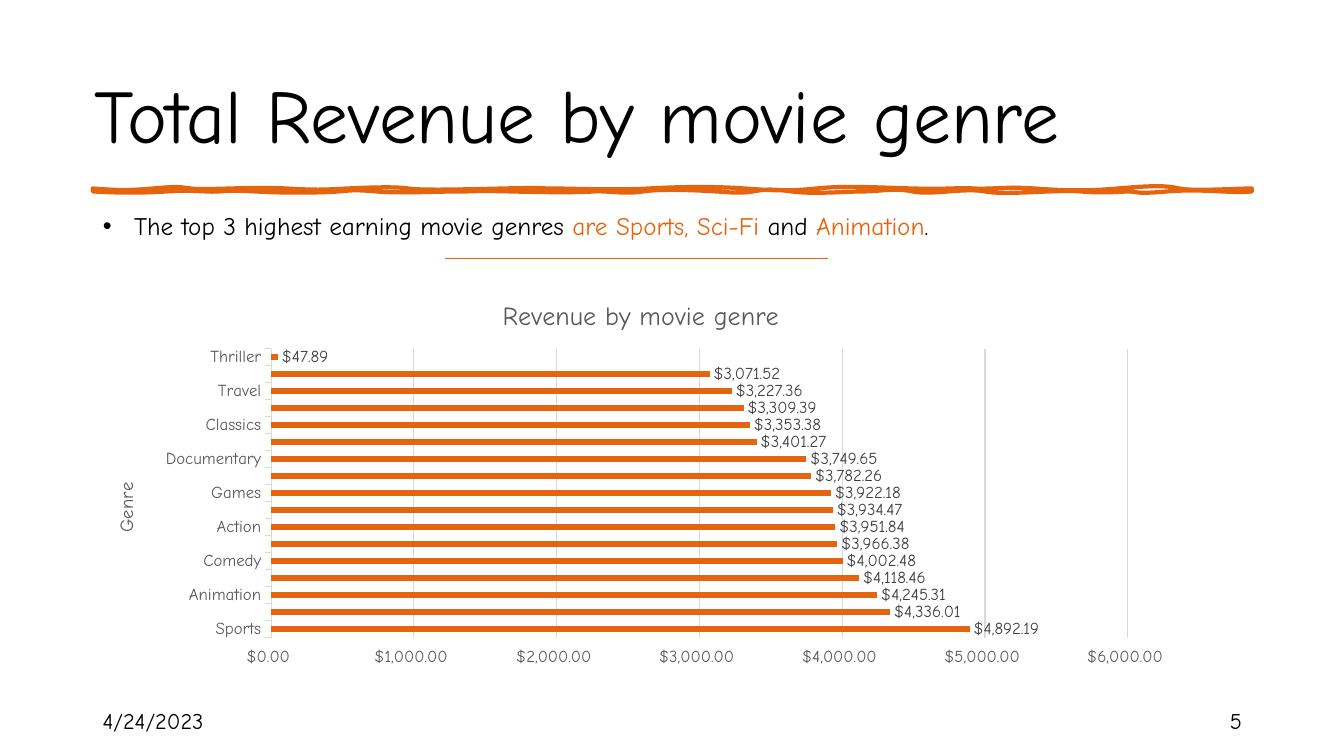
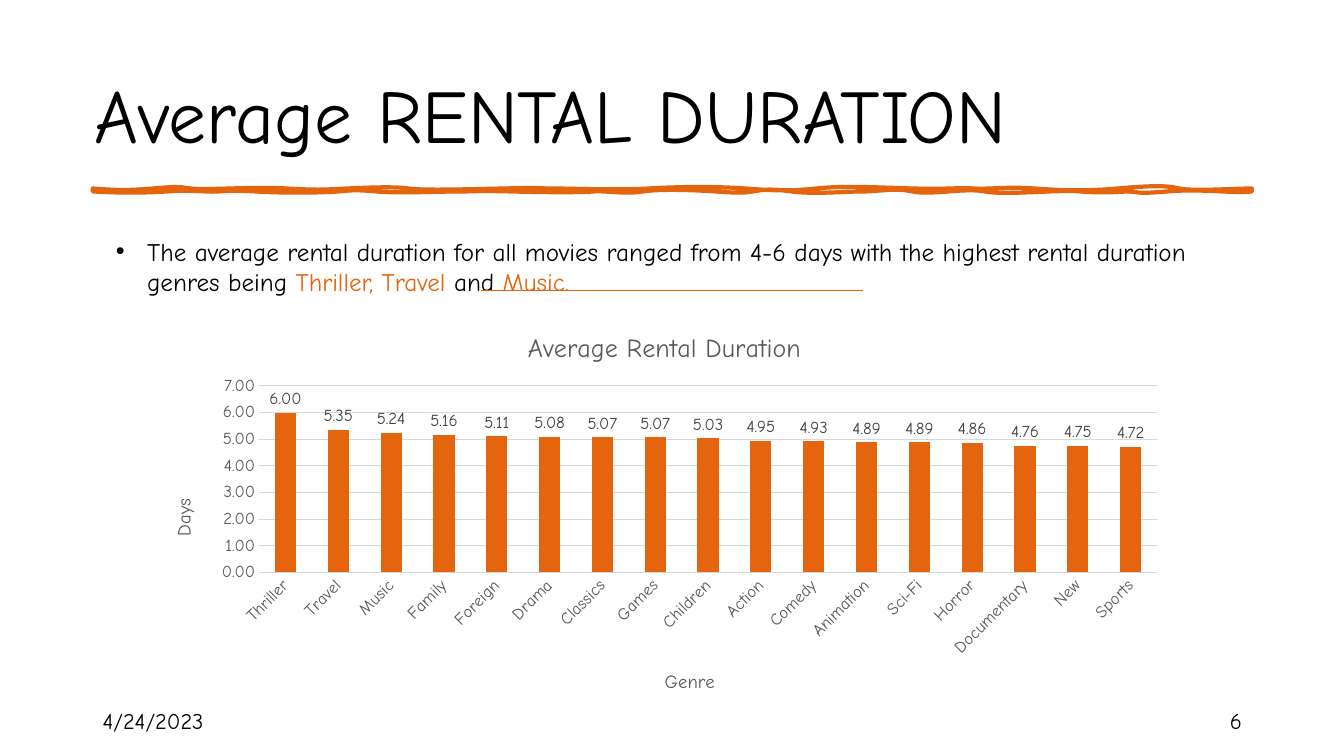
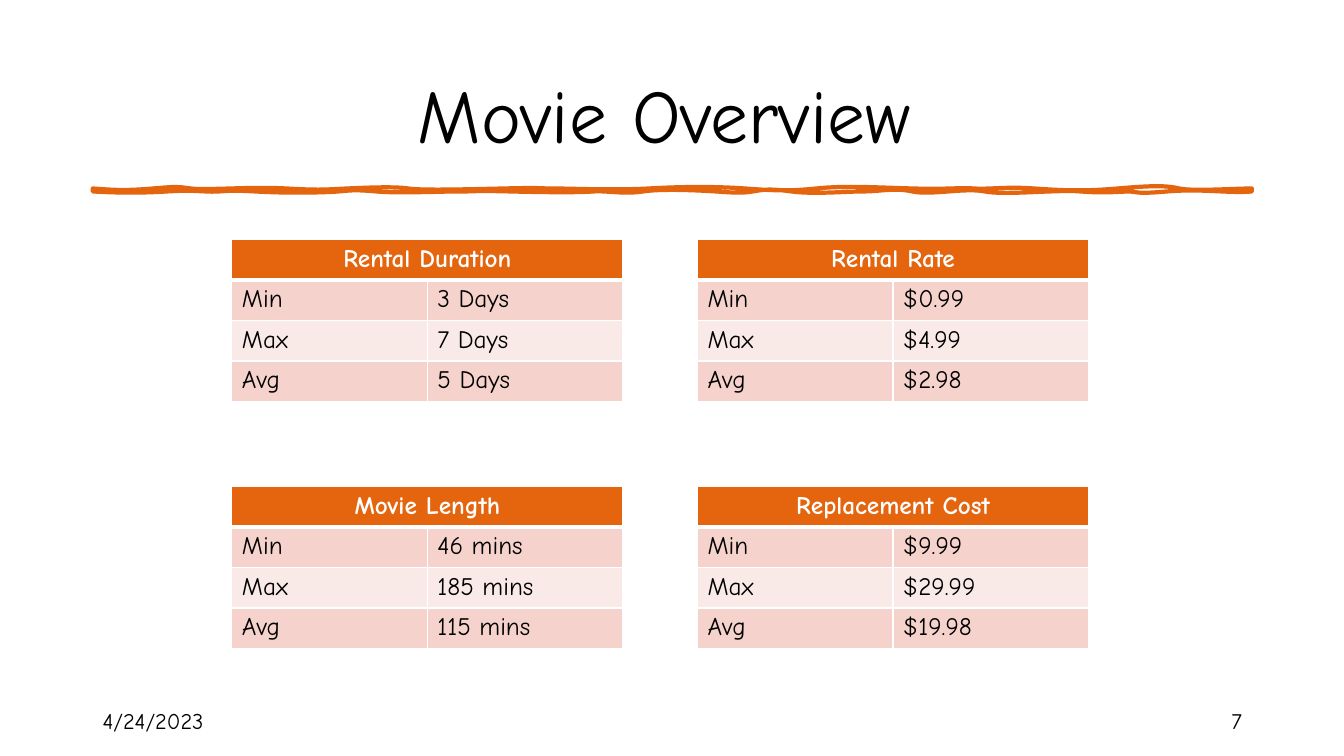
import dataclasses
import typing

import lxml.etree
import pptx
import pptx.chart.axis
import pptx.chart.chart
import pptx.chart.data
import pptx.dml.color
import pptx.enum.chart
import pptx.enum.shapes
import pptx.enum.text
import pptx.oxml.ns
import pptx.presentation
import pptx.slide
import pptx.table
import pptx.text.text
import pptx.util

Inches = pptx.util.Inches
Pt = pptx.util.Pt
qn = pptx.oxml.ns.qn
Align = pptx.enum.text.PP_ALIGN
Anchor = pptx.enum.text.MSO_ANCHOR
Tick = pptx.enum.chart.XL_TICK_MARK
ChartType = pptx.enum.chart.XL_CHART_TYPE

FONT = "Comic Neue"
COLORS = {
    "ink": "000000",
    "paper": "FFFFFF",
    "accent": "E4650E",
    "axis": "595959",
    "label": "404040",
    "grid": "D9D9D9",
    "band_dark": "F5D3CC",
    "band_light": "FAEAE7",
}
DATE = "4/24/2023"
FIRST_NUMBER = 5
DOLLARS = '"$"#,##0.00_);[Red]\\("$"#,##0.00\\)'

# Each curve: first control x, y, second control x, y, end x (inches).
BRUSH_TOP, BRUSH_BOTTOM = 1.87, 1.9
BRUSH_LEFT, BRUSH_RIGHT = 0.92, 12.42
UPPER_CURVES = [
    (1.17, 1.89, 1.28, 1.89, 1.52), (1.76, 1.85, 1.75, 1.85, 1.89),
    (2.04, 1.89, 2.49, 1.85, 2.84), (3.19, 1.89, 3.23, 1.88, 3.45),
    (3.67, 1.86, 3.92, 1.85, 4.05), (4.18, 1.89, 4.58, 1.88, 5),
    (5.42, 1.86, 5.3, 1.87, 5.49), (5.67, 1.87, 6.09, 1.89, 6.44),
    (6.78, 1.85, 7.11, 1.85, 7.39), (7.66, 1.89, 7.82, 1.9, 8.1),
    (8.39, 1.84, 8.69, 1.86, 9.05), (9.42, 1.88, 9.5, 1.86, 9.66),
    (9.82, 1.88, 9.98, 1.85, 10.26), (10.54, 1.89, 10.75, 1.9, 11.09),
    (11.44, 1.84, 11.57, 1.84, 11.7), (11.83, 1.9, 12.26, 1.87, 12.42),
]
LOWER_CURVES = [
    (12.19, 1.92, 11.93, 1.87, 11.58), (11.24, 1.93, 11.29, 1.9, 11.21),
    (11.13, 1.9, 10.96, 1.92, 10.72), (10.48, 1.88, 9.97, 1.94, 9.77),
    (9.57, 1.86, 9.24, 1.94, 9.05), (8.87, 1.86, 8.74, 1.9, 8.56),
    (8.39, 1.9, 8.07, 1.93, 7.85), (7.63, 1.87, 7.59, 1.88, 7.47),
    (7.36, 1.92, 7.25, 1.91, 7.1), (6.94, 1.89, 6.57, 1.87, 6.38),
    (6.19, 1.93, 6.01, 1.89, 5.89), (5.77, 1.91, 5.46, 1.91, 5.06),
    (4.65, 1.89, 4.79, 1.9, 4.57), (4.34, 1.9, 3.96, 1.92, 3.73),
    (3.51, 1.88, 3.48, 1.89, 3.36), (3.24, 1.91, 2.87, 1.92, 2.53),
    (2.18, 1.88, 2.23, 1.91, 2.04), (1.84, 1.89, 1.84, 1.89, 1.66),
    (1.49, 1.91, 1.27, 1.92, 0.92),
]


class Box(typing.NamedTuple):
    left: float
    top: float
    width: float
    height: float

    def emu(self) -> list[pptx.util.Length]:
        return [Inches(length) for length in self]


class ChartLabel(typing.NamedTuple):
    """A chart or axis title, placed in inches from the chart's corner."""
    text: str
    x: float
    y: float


@dataclasses.dataclass
class GenreChart:
    kind: ChartType
    box: Box
    plot: Box
    title: ChartLabel
    values: dict[str, float]
    number_format: str
    gap: int
    tick: Tick
    maximum: float
    step: float
    category_title: ChartLabel
    value_title: ChartLabel | None = None
    label_rotation: int = 0


@dataclasses.dataclass
class ChartSlide:
    title: str
    finding: list[tuple[str, str]]
    finding_box: Box
    line_left: float
    line_top: float
    chart: GenreChart


class Summary(typing.NamedTuple):
    heading: str
    minimum: str
    maximum: str
    average: str


CHART_SLIDES = [
    ChartSlide(
        "Total Revenue by movie genre",
        [("The top 3 highest earning movie genres ", "ink"),
         ("are Sports, Sci-Fi ", "accent"), ("and", "ink"),
         (" Animation", "accent"), (".", "ink")],
        Box(0.92, 2.04, 10.28, 0.4), 4.42, 2.56,
        GenreChart(
            ChartType.BAR_CLUSTERED, Box(0.92, 2.78, 10.89, 3.9),
            Box(1.77, 0.68, 8.5, 2.87),
            ChartLabel("Revenue by movie genre", 4.02, 0.13),
            {"Sports": 4892.19, "Sci-Fi": 4336.01, "Animation": 4245.31,
             "Drama": 4118.46, "Comedy": 4002.48, "New": 3966.38,
             "Action": 3951.84, "Foreign": 3934.47, "Games": 3922.18,
             "Family": 3782.26, "Documentary": 3749.65, "Horror": 3401.27,
             "Classics": 3353.38, "Children": 3309.39, "Travel": 3227.36,
             "Music": 3071.52, "Thriller": 47.89},
            DOLLARS, 182, Tick.OUTSIDE, 6000, 1000,
            ChartLabel("Genre", 0.18, 1.97)),
    ),
    ChartSlide(
        "Average RENTAL DURATION",
        [("The average rental duration for all movies ranged from 4-6 days "
          "with the highest rental duration genres being ", "ink"),
         ("Thriller, Travel ", "accent"), ("and", "ink"), (" Music.", "accent")],
        Box(1.05, 2.29, 11.29, 0.71), 4.77, 2.88,
        GenreChart(
            ChartType.COLUMN_CLUSTERED, Box(1.49, 3.12, 10.2, 3.98),
            Box(1.08, 0.71, 8.91, 1.85),
            ChartLabel("Average Rental Duration", 3.7, 0.11),
            {"Thriller": 6, "Travel": 5.35, "Music": 5.24, "Family": 5.16,
             "Foreign": 5.11, "Drama": 5.08, "Classics": 5.07, "Games": 5.07,
             "Children": 5.03, "Action": 4.95, "Comedy": 4.93,
             "Animation": 4.89, "Sci-Fi": 4.89, "Horror": 4.86,
             "Documentary": 4.76, "New": 4.75, "Sports": 4.72},
            "0.00", 150, Tick.NONE, 7, 1,
            ChartLabel("Genre", 5.07, 3.49), ChartLabel("Days", 0.18, 1.79), -45),
    ),
]
SUMMARIES = [
    Summary("Rental Duration", "3 Days", "7 Days", "5 Days"),
    Summary("Rental Rate", "$0.99", "$4.99", "$2.98"),
    Summary("Movie Length", "46 mins", "185 mins", "115 mins"),
    Summary("Replacement Cost", "$9.99", "$29.99", "$19.98"),
]


def rgb(color: str) -> pptx.dml.color.RGBColor:
    return pptx.dml.color.RGBColor.from_string(COLORS[color])


def format_font(font: pptx.text.text.Font, size: float, color: str, bold: bool = False) -> None:
    for name, value in {"name": FONT, "size": Pt(size), "bold": bold}.items():
        setattr(font, name, value)
    font.color.rgb = rgb(color)


def add_run(paragraph: pptx.text.text._Paragraph, text: str, size: float,
            color: str, bold: bool = False) -> None:
    run = paragraph.add_run()
    run.text = text
    format_font(run.font, size, color, bold)


def place(shape: typing.Any, box: Box) -> None:
    for name, length in zip(box._fields, box.emu()):
        setattr(shape, name, length)


def add_footer(slide: pptx.slide.Slide, left: float, text: str, align: Align) -> None:
    frame = slide.shapes.add_textbox(*Box(left, 6.95, 3, 0.4).emu()).text_frame
    frame.word_wrap = True
    frame.vertical_anchor = Anchor.MIDDLE
    frame.paragraphs[0].alignment = align
    add_run(frame.paragraphs[0], text, 16, "ink")


def add_slide(deck: pptx.presentation.Presentation, layout: int, title: str,
              align: Align = Align.LEFT) -> pptx.slide.Slide:
    """Add a slide with its title, date and number."""
    slide = deck.slides.add_slide(deck.slide_layouts[layout])
    heading = slide.shapes.title
    place(heading, Box(0.84, 0.4, 11.5, 1.45))
    heading.text_frame.vertical_anchor = Anchor.MIDDLE
    heading.text_frame.paragraphs[0].alignment = align
    add_run(heading.text_frame.paragraphs[0], title, 54, "ink")
    number = FIRST_NUMBER + len(deck.slides) - 1
    add_footer(slide, 0.92, DATE, Align.LEFT)
    add_footer(slide, 9.42, str(number), Align.RIGHT)
    return slide


def bend(segment: lxml.etree._Element, curve: tuple, edge: float) -> None:
    """Turn a straight segment into a curve that ends at the height of edge."""
    x1, y1, x2, y2, end = curve
    bezier = lxml.etree.Element(qn("a:cubicBezTo"))
    for x, y in ((x1, y1), (x2, y2), (end, edge)):
        lxml.etree.SubElement(bezier, qn("a:pt"), x=str(Inches(x - BRUSH_LEFT)),
                              y=str(Inches(y - BRUSH_TOP)))
    segment.getparent().replace(segment, bezier)


def add_brush_to_master(deck: pptx.presentation.Presentation, slide: pptx.slide.Slide) -> None:
    """Draw the brush stroke on a slide and move it to the master."""
    outline = slide.shapes.build_freeform(Inches(BRUSH_LEFT), Inches(BRUSH_TOP))
    corner = (BRUSH_RIGHT, BRUSH_BOTTOM)
    ends = ([(curve[-1], BRUSH_TOP) for curve in UPPER_CURVES] + [corner]
            + [(curve[-1], BRUSH_BOTTOM) for curve in LOWER_CURVES])
    outline.add_line_segments([(Inches(x), Inches(y)) for x, y in ends], close=True)
    brush = outline.convert_to_shape()
    segments = list(brush.element.iter(qn("a:lnTo")))
    for segment, curve in zip(segments, UPPER_CURVES):
        bend(segment, curve, BRUSH_TOP)
    for segment, curve in zip(segments[len(UPPER_CURVES) + 1:], LOWER_CURVES):
        bend(segment, curve, BRUSH_BOTTOM)
    brush.shadow.inherit = False
    brush.fill.background()
    brush.line.color.rgb = rgb("accent")
    brush.line.width = Pt(3)
    brush.element.find(".//" + qn("p:cNvPr")).set("id", "20")
    deck.slide_master.shapes.element.append(brush.element)


def add_finding(slide: pptx.slide.Slide, content: ChartSlide) -> None:
    body = slide.placeholders[1]
    place(body, content.finding_box)
    body.text_frame.auto_size = pptx.enum.text.MSO_AUTO_SIZE.SHAPE_TO_FIT_TEXT
    paragraph = body.text_frame.paragraphs[0]
    properties = paragraph._p.get_or_add_pPr()
    properties.set("marL", str(Inches(0.31)))
    properties.set("indent", str(-Inches(0.31)))
    lxml.etree.SubElement(properties, qn("a:buFont"), typeface="Arial")
    lxml.etree.SubElement(properties, qn("a:buChar"), char="•")
    paragraph.space_before = Pt(0)
    for text, color in content.finding:
        add_run(paragraph, text, 18, color)

    top = Inches(content.line_top)
    line = slide.shapes.add_connector(
        pptx.enum.shapes.MSO_CONNECTOR.STRAIGHT, Inches(content.line_left), top,
        Inches(content.line_left + 3.79), top)
    line.line.color.rgb = rgb("accent")
    line.line.width = Pt(0.5)
    lxml.etree.SubElement(line.element.find(qn("p:spPr")), qn("a:effectLst"))


def set_layout(parent: lxml.etree._Element, index: int, chart_box: Box, **lengths: float) -> None:
    """Fix a chart part, given in inches from the chart's corner."""
    for old in parent.findall(qn("c:layout")):
        parent.remove(old)
    layout = lxml.etree.Element(qn("c:layout"))
    manual = lxml.etree.SubElement(layout, qn("c:manualLayout"))
    if "w" in lengths:
        lxml.etree.SubElement(manual, qn("c:layoutTarget"), val="inner")
    for axis in "xy":
        lxml.etree.SubElement(manual, qn(f"c:{axis}Mode"), val="edge")
    for name, length in lengths.items():
        whole = chart_box.width if name in "xw" else chart_box.height
        lxml.etree.SubElement(manual, qn(f"c:{name}"), val=str(round(length / whole, 4)))
    parent.insert(index, layout)


def set_title(title: typing.Any, label: ChartLabel, size: float, chart_box: Box,
              upright: bool = False) -> None:
    """Write a chart or axis title; an upright one reads from bottom to top."""
    add_run(title.text_frame.paragraphs[0], label.text, size, "axis")
    if upright:
        title.element.find(".//" + qn("a:bodyPr")).set("rot", "-5400000")
    set_layout(title.element, 1, chart_box, x=label.x, y=label.y)


def format_axis(axis: pptx.chart.axis._BaseAxis, tick: Tick, title: ChartLabel | None,
                chart_box: Box, upright: bool) -> None:
    axis.major_tick_mark = tick
    axis.minor_tick_mark = Tick.NONE
    format_font(axis.tick_labels.font, 12, "axis")
    axis.has_title = title is not None
    if title:
        set_title(axis.axis_title, title, 13.3, chart_box, upright)


def add_genre_chart(slide: pptx.slide.Slide, content: GenreChart) -> None:
    data = pptx.chart.data.CategoryChartData(number_format=content.number_format)
    data.categories = content.values.keys()
    data.add_series("Series 1", content.values.values())
    chart = slide.shapes.add_chart(content.kind, *content.box.emu(), data).chart
    format_font(chart.font, 10, "ink")
    chart.has_legend = False
    chart.has_title = True
    set_title(chart.chart_title, content.title, 18.6, content.box)
    set_layout(chart.element.find(".//" + qn("c:plotArea")), 0, content.box,
               **dict(zip("xywh", content.plot)))

    horizontal = content.kind == ChartType.BAR_CLUSTERED
    genres, amounts = chart.category_axis, chart.value_axis
    format_axis(genres, content.tick, content.category_title, content.box, horizontal)
    format_axis(amounts, content.tick, content.value_title, content.box, not horizontal)
    amounts.minimum_scale = 0
    amounts.maximum_scale = content.maximum
    amounts.major_unit = content.step
    amounts.tick_labels.number_format = content.number_format
    amounts.tick_labels.number_format_is_linked = False
    amounts.format.line.fill.background()
    for line in (genres.format.line, amounts.major_gridlines.format.line):
        line.color.rgb = rgb("grid")
        line.width = Pt(0.75)
    if content.label_rotation:
        labels = chart.element.find(f".//{qn('c:catAx')}/{qn('c:txPr')}/{qn('a:bodyPr')}")
        labels.set("rot", str(content.label_rotation * 60000))

    plot = chart.plots[0]
    plot.gap_width = content.gap
    plot.vary_by_categories = False
    fill = plot.series[0].format.fill
    fill.solid()
    fill.fore_color.rgb = rgb("accent")
    plot.has_data_labels = True
    for name, value in {
        "show_value": True,
        "number_format": content.number_format,
        "number_format_is_linked": False,
        "position": pptx.enum.chart.XL_LABEL_POSITION.OUTSIDE_END,
    }.items():
        setattr(plot.data_labels, name, value)
    format_font(plot.data_labels.font, 12, "label")


def format_cell(cell: pptx.table._Cell, color: str, top: float, bottom: float) -> None:
    """Fill a cell and give it white borders."""
    cell.fill.solid()
    cell.fill.fore_color.rgb = rgb(color)
    properties = cell._tc.get_or_add_tcPr()
    for index, (side, width) in enumerate({"L": 1, "R": 1, "T": top, "B": bottom}.items()):
        border = lxml.etree.Element(qn(f"a:ln{side}"), w=str(Pt(width)))
        paint = lxml.etree.SubElement(border, qn("a:solidFill"))
        lxml.etree.SubElement(paint, qn("a:srgbClr"), val=COLORS["paper"])
        properties.insert(index, border)


def add_summary(slide: pptx.slide.Slide, summary: Summary, left: float, top: float) -> None:
    table = slide.shapes.add_table(4, 2, *Box(left, top, 3.88, 1.6).emu()).table
    rows = [(summary.heading, ""), ("Min", summary.minimum),
            ("Max", summary.maximum), ("Avg", summary.average)]
    fills = ["accent", "band_dark", "band_light", "band_dark"]
    for row, (texts, fill) in enumerate(zip(rows, fills)):
        header = row == 0
        for column, text in enumerate(texts):
            cell = table.cell(row, column)
            format_cell(cell, fill, 3 if row == 1 else 1, 3 if header else 1)
            if text:
                paragraph = cell.text_frame.paragraphs[0]
                paragraph.alignment = Align.CENTER if header else Align.LEFT
                add_run(paragraph, text, 18, "paper" if header else "ink", header)
    table.cell(0, 0).merge(table.cell(0, 1))


def main() -> None:
    deck = pptx.Presentation()
    deck.slide_width, deck.slide_height = Inches(40 / 3), Inches(7.5)
    for content in CHART_SLIDES:
        slide = add_slide(deck, 1, content.title)
        add_genre_chart(slide, content.chart)
        add_finding(slide, content)
    overview = add_slide(deck, 5, "Movie Overview", Align.CENTER)
    for index, summary in enumerate(SUMMARIES):
        row, column = divmod(index, 2)
        add_summary(overview, summary, 2.3 + 4.62 * column, 2.38 + 2.45 * row)
    add_brush_to_master(deck, overview)
    deck.save("out.pptx")


if __name__ == "__main__":
    main()
